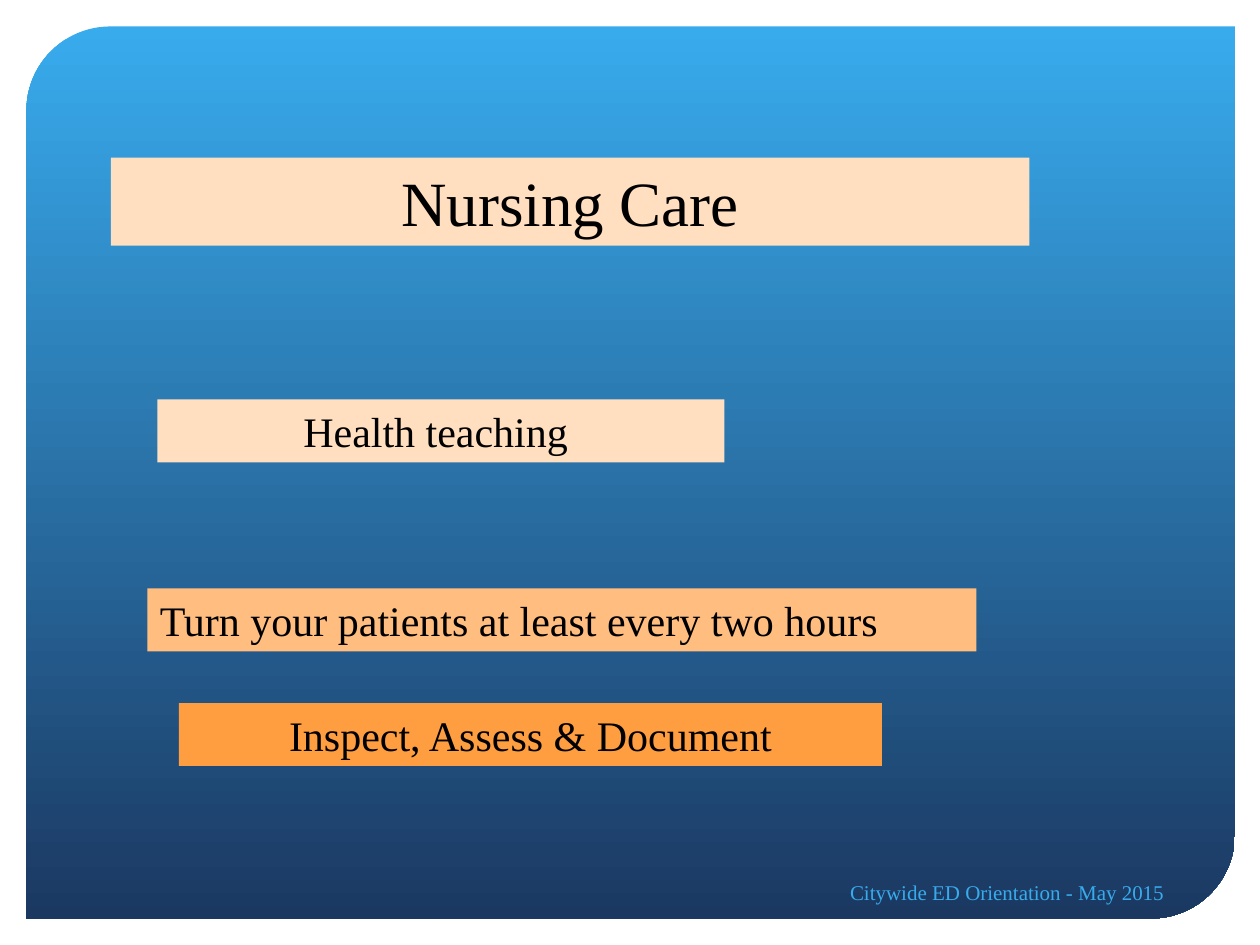
from dataclasses import dataclass

from pptx import Presentation
from pptx.dml.color import RGBColor as RGB
from pptx.enum.shapes import MSO_SHAPE as Shape
from pptx.enum.text import MSO_ANCHOR as Anchor, MSO_AUTO_SIZE as AutoSize, PP_ALIGN as Align
from pptx.util import Inches, Pt

FONT = "Times New Roman"
COLORS = {
    "sky": "38ABED",
    "navy": "1B3861",
    "cream": "FFDFBF",
    "peach": "FFBE7F",
    "orange": "FF9E40",
    "black": "000000",
}


@dataclass
class Bar:
    text: str
    left: float
    top: float
    width: float
    fill: str
    align: Align = Align.CENTER
    height: float = 0.5
    size: int = 24


TITLE = Bar("Nursing Care", 0.88, 1.25, 7.29, "cream", height=0.7, size=36)
BARS = [
    Bar("Health teaching ", 1.25, 3.17, 4.5, "cream"),
    Bar("Turn your patients at least every two hours", 1.17, 4.67, 6.58, "peach", Align.LEFT),
    Bar("Inspect, Assess & Document", 1.42, 5.58, 5.58, "orange"),
]


def rgb(name: str) -> RGB:
    return RGB.from_string(COLORS[name])


def write(sp, text: str, *, size: int, color: str = "black",
          align: Align = Align.CENTER, anchor: Anchor = Anchor.TOP) -> None:
    tf = sp.text_frame
    tf.word_wrap = True
    tf.auto_size = AutoSize.NONE
    tf.vertical_anchor = anchor
    p = tf.paragraphs[0]
    p.alignment = align
    r = p.add_run()
    r.text = text
    r.font.name = FONT
    r.font.size = Pt(size)
    r.font.color.rgb = rgb(color)


def format_bar(sp, bar: Bar) -> None:
    sp.left, sp.top = Inches(bar.left), Inches(bar.top)
    sp.width, sp.height = Inches(bar.width), Inches(bar.height)
    sp.fill.solid()
    sp.fill.fore_color.rgb = rgb(bar.fill)
    sp.line.fill.background()
    write(sp, bar.text, size=bar.size, align=bar.align)


def add_bar(slide, bar: Bar) -> None:
    sp = slide.shapes.add_shape(Shape.RECTANGLE, 0, 0, Inches(1), Inches(1))
    sp.shadow.inherit = False
    format_bar(sp, bar)


def add_backdrop(slide) -> None:
    sp = slide.shapes.add_shape(Shape.ROUND_2_DIAG_RECTANGLE, Inches(0.21), Inches(0.21),
                                Inches(9.59), Inches(7.08))
    sp.adjustments[0] = 0.094
    sp.adjustments[1] = 0
    sp.shadow.inherit = False
    sp.line.fill.background()
    sp.fill.gradient()
    sp.fill.gradient_angle = 270
    for stop, name, position in zip(sp.fill.gradient_stops, ("sky", "navy"), (0, 1)):
        stop.color.rgb = rgb(name)
        stop.position = position
    slide.shapes._spTree.insert(2, sp._element)


def main() -> None:
    prs = Presentation()
    prs.slide_width, prs.slide_height = Inches(10), Inches(7.5)
    slide = prs.slides.add_slide(prs.slide_layouts[5])
    add_backdrop(slide)
    format_bar(slide.shapes.title, TITLE)
    for bar in BARS:
        add_bar(slide, bar)
    footer = slide.shapes.add_textbox(Inches(3.61), Inches(6.88), Inches(5.73), Inches(0.4))
    write(footer, "Citywide ED Orientation - May 2015", size=12, color="sky",
          align=Align.RIGHT, anchor=Anchor.MIDDLE)
    prs.save("out.pptx")


if __name__ == "__main__":
    main()
